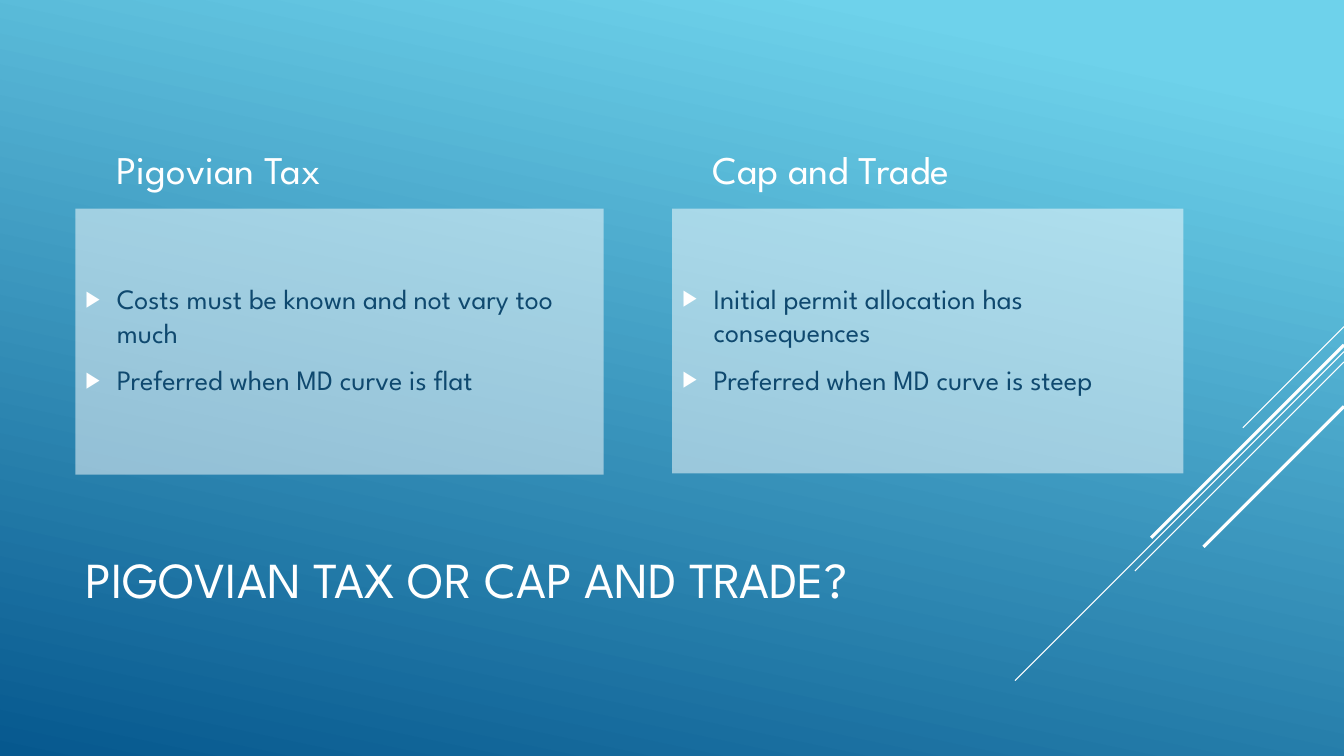
from lxml.etree import SubElement
from pptx import Presentation
from pptx.dml.color import RGBColor
from pptx.enum.shapes import MSO_CONNECTOR
from pptx.enum.text import MSO_ANCHOR, MSO_AUTO_SIZE, PP_ALIGN
from pptx.oxml.ns import qn
from pptx.util import Cm, Pt

TITLE = "PIGOVIAN TAX OR CAP AND TRADE?"
TITLE_BOX = (1.9, 12.47, 23.7, 4.19)
COLUMNS = [
    {
        "heading": "Pigovian Tax",
        "heading_box": (2.69, 3.38, 12.93, 1.6),
        "points": ["Costs must be known and not vary too much",
                   "Preferred when MD curve is flat"],
        "points_box": (1.9, 5.26, 13.31, 6.7),
    },
    {
        "heading": "Cap and Trade",
        "heading_box": (17.7, 3.38, 12.01, 1.6),
        "points": ["Initial permit allocation has consequences",
                   "Preferred when MD curve is steep"],
        "points_box": (16.94, 5.26, 12.88, 6.67),
    },
]
WIDTH, HEIGHT = 33.87, 19.05
DIAGONALS = [
    (8.23, 31.32, 0.75),
    (8.86, 25.58, 0.75),
    (9.12, 28.6, 0.75),
    (8.69, 29.01, 2.25),
    (10.24, 30.33, 2.25),
]
COLORS = {"sky": "6ED2EB", "deep": "06588E", "white": "FFFFFF", "navy": "0F496F"}
BACKGROUND_STOPS = [(0.1, "sky"), (1, "deep")]
INDENT = 0.79
FONT = "League Spartan"


def rgb(name):
    return RGBColor.from_string(COLORS[name])


def add_child(parent, tag, **attrs):
    return SubElement(parent, qn(tag), attrs)


def set_all(obj, values):
    for name, value in values.items():
        setattr(obj, name, value)


def fill_text(sp, box, lines, size, color, anchor):
    set_all(sp, dict(zip(("left", "top", "width", "height"), map(Cm, box))))
    tf = sp.text_frame
    tf.text = "\n".join(lines)
    set_all(tf, {"word_wrap": True, "auto_size": MSO_AUTO_SIZE.NONE,
                 "vertical_anchor": anchor})
    for p in tf.paragraphs:
        p.alignment = PP_ALIGN.LEFT
        for r in p.runs:
            set_all(r.font, {"name": FONT, "size": Pt(size), "bold": False})
            r.font.color.rgb = rgb(color)
    return tf


def add_bullet(p):
    pPr = p._p.get_or_add_pPr()
    pPr.set("marL", str(Cm(INDENT)))
    pPr.set("indent", str(-Cm(INDENT)))
    add_child(add_child(pPr, "a:buClr"), "a:srgbClr", val=COLORS["white"])
    add_child(pPr, "a:buSzPct", val="80000")
    add_child(pPr, "a:buChar", char="▶")


def add_diagonal(slide, top, end_x, weight):
    line = slide.shapes.add_connector(
        MSO_CONNECTOR.STRAIGHT, Cm(WIDTH), Cm(top), Cm(end_x), Cm(top + WIDTH - end_x))
    line.line.color.rgb = rgb("white")
    line.line.width = Pt(weight)
    add_child(line._element.spPr, "a:effectLst")


def add_column(heading, panel, column):
    tf = fill_text(heading, column["heading_box"], [column["heading"]],
                   28, "white", MSO_ANCHOR.BOTTOM)
    tf.paragraphs[0].space_after = Pt(6)

    tf = fill_text(panel, column["points_box"], column["points"],
                   20, "navy", MSO_ANCHOR.MIDDLE)
    set_all(tf, {"margin_top": 0, "margin_bottom": Cm(0.13)})
    for p in tf.paragraphs:
        p.space_after = Pt(6)
        add_bullet(p)
    panel.fill.solid()
    panel.fill.fore_color.rgb = rgb("white")
    tint = panel._element.spPr.find(".//" + qn("a:srgbClr"))
    add_child(tint, "a:alpha", val="50000")


def main():
    prs = Presentation()
    set_all(prs, {"slide_width": Cm(WIDTH), "slide_height": Cm(HEIGHT)})
    slide = prs.slides.add_slide(prs.slide_layouts.get_by_name("Comparison"))

    fill = slide.background.fill
    fill.gradient()
    fill.gradient_angle = 258
    for stop, (position, color) in zip(fill.gradient_stops, BACKGROUND_STOPS):
        stop.position = position
        stop.color.rgb = rgb(color)

    for diagonal in DIAGONALS:
        add_diagonal(slide, *diagonal)

    title, *bodies = slide.placeholders
    fill_text(title, TITLE_BOX, [TITLE], 36, "white", MSO_ANCHOR.MIDDLE)
    for heading, panel, column in zip(bodies[::2], bodies[1::2], COLUMNS):
        add_column(heading, panel, column)

    prs.save("out.pptx")


if __name__ == "__main__":
    main()
